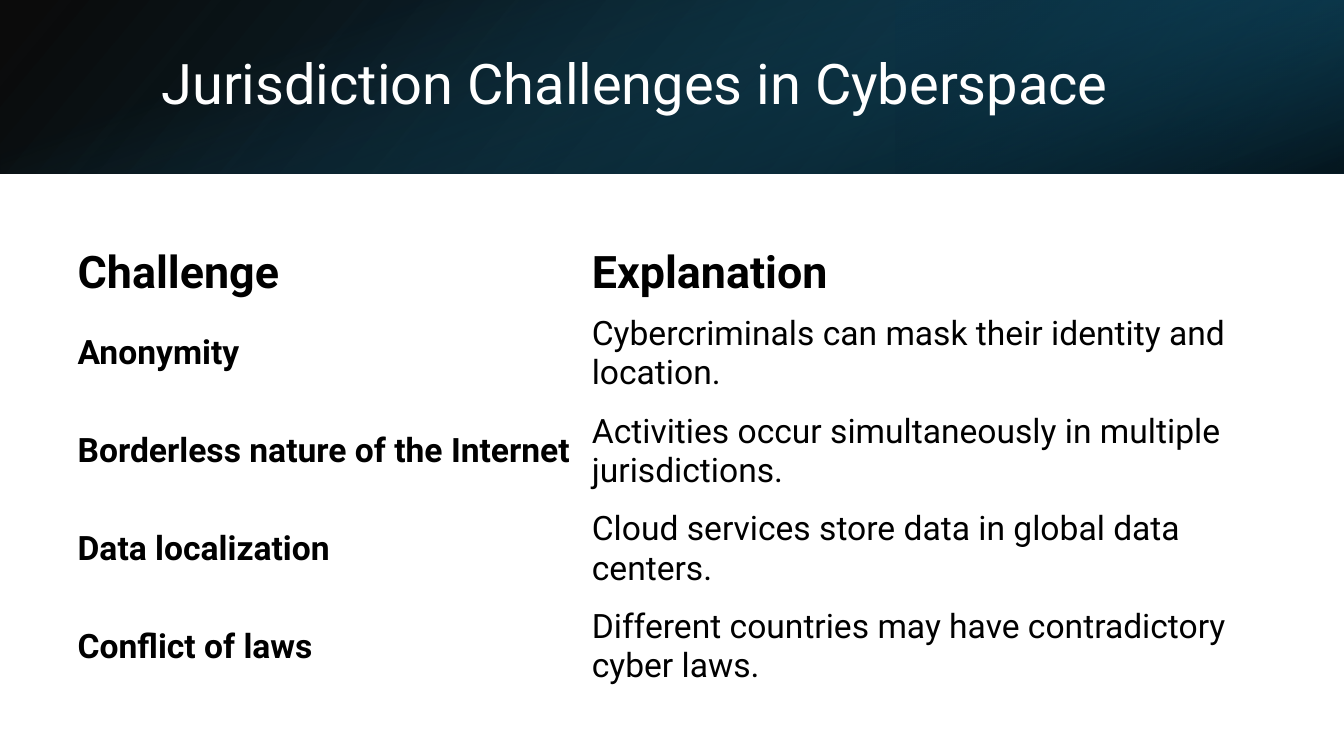
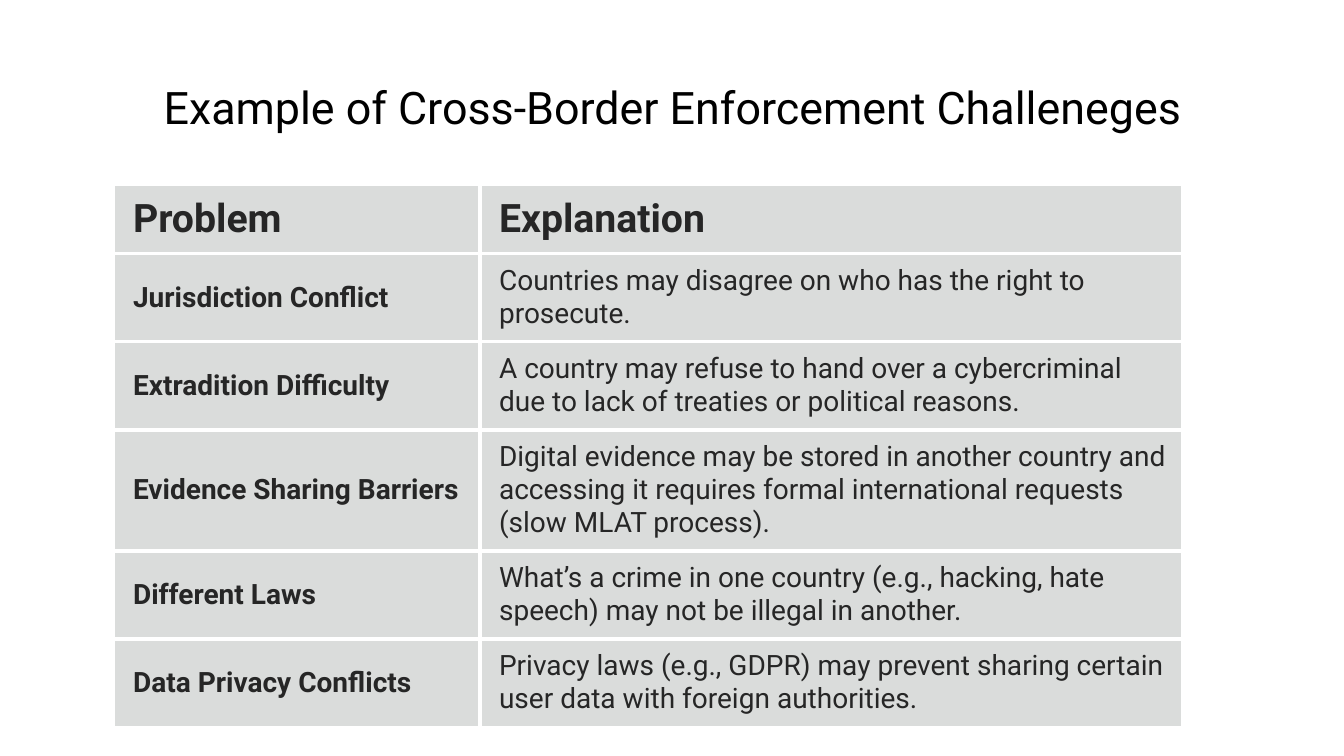
from lxml.etree import SubElement
from pptx import Presentation
from pptx.dml.color import RGBColor
from pptx.enum.shapes import MSO_SHAPE
from pptx.enum.text import MSO_ANCHOR, MSO_AUTO_SIZE, PP_ALIGN
from pptx.oxml.ns import qn
from pptx.util import Inches, Pt

FONT = "Roboto"
WHITE, BLACK, CHARCOAL, GREY = "FFFFFF", "000000", "262626", "878E8B"
NAVY, TEAL, DEEP = "104862", "156082", "0B3041"
SLIDE_W, SLIDE_H, BAND_H = 13.33, 7.5, 1.72
TITLE_ONLY = 5

CHALLENGES = [
    ("Challenge", "Explanation"),
    ("Anonymity", "Cybercriminals can mask their identity and location."),
    ("Borderless nature of the Internet",
     "Activities occur simultaneously in multiple jurisdictions."),
    ("Data localization", "Cloud services store data in global data centers."),
    ("Conflict of laws", "Different countries may have contradictory cyber laws."),
]
PROBLEMS = [
    ("Problem", "Explanation"),
    ("Jurisdiction Conflict",
     "Countries may disagree on who has the right to prosecute."),
    ("Extradition Difficulty",
     "A country may refuse to hand over a cybercriminal due to lack of "
     "treaties or political reasons."),
    ("Evidence Sharing Barriers",
     "Digital evidence may be stored in another country and accessing it "
     "requires formal international requests (slow MLAT process)."),
    ("Different Laws",
     "What’s a crime in one country (e.g., hacking, hate speech) may not be "
     "illegal in another."),
    ("Data Privacy Conflicts",
     "Privacy laws (e.g., GDPR) may prevent sharing certain user data with "
     "foreign authorities."),
]


def rgb(color):
    """Turn a hex string into a colour."""
    return RGBColor.from_string(color)


def style_run(r, size, color, bold=False):
    """Give a run the deck's font with a size, colour and weight."""
    r.font.name = FONT
    r.font.size = Pt(size)
    r.font.bold = bold
    r.font.color.rgb = rgb(color)


def set_alpha(color_el, percent):
    """Set the opacity of a colour element."""
    SubElement(color_el, qn("a:alpha")).set("val", str(percent * 1000))


def add_gradient(slide, box, stops, angle, rotation=0, flip=False):
    """Add a rectangle with a linear gradient of translucent stops."""
    sp = slide.shapes.add_shape(MSO_SHAPE.RECTANGLE, *map(Inches, box))
    sp.shadow.inherit = False
    sp.line.fill.background()
    sp.rotation = rotation
    if flip:
        sp.element.spPr.find(qn("a:xfrm")).set("flipH", "1")
    sp.fill.gradient()
    grad = sp.element.spPr.find(qn("a:gradFill"))
    for child in list(grad):
        grad.remove(child)
    gs_list = SubElement(grad, qn("a:gsLst"))
    for position, color, alpha in stops:
        gs = SubElement(gs_list, qn("a:gs"), pos=str(position * 1000))
        set_alpha(SubElement(gs, qn("a:srgbClr"), val=color), alpha)
    SubElement(grad, qn("a:lin"), ang=str(angle * 60000), scaled="0")


def add_band(slide, width, height):
    """Layer the gradients of the band across the top of the slide."""
    add_gradient(slide, (0, 0, width, height),
                 [(0, BLACK, 96), (100, NAVY, 100)], 140, flip=True)
    add_gradient(slide, (width * 2 / 3, 0, width / 3, height),
                 [(19, DEEP, 68), (100, TEAL, 79)], 320, 180, True)
    offset = (width - height) / 2
    add_gradient(slide, (offset, -offset, height, width),
                 [(23, TEAL, 0), (99, BLACK, 74)], 340, 90)


def set_title(slide, text, box, size, color, align, anchor):
    """Place and format the title placeholder."""
    sp = slide.shapes.title
    sp.left, sp.top, sp.width, sp.height = map(Inches, box)
    tf = sp.text_frame
    tf.text = text
    tf.word_wrap = True
    tf.auto_size = MSO_AUTO_SIZE.NONE
    tf.vertical_anchor = anchor
    p = tf.paragraphs[0]
    p.alignment = align
    p.line_spacing = 0.9
    style_run(p.runs[0], size, color)


def add_border(cell, side, color, width):
    """Draw one side of a cell as a solid line."""
    ln = SubElement(cell._tc.get_or_add_tcPr(), qn(f"a:ln{side}"), w=str(Pt(width)))
    SubElement(SubElement(ln, qn("a:solidFill")), qn("a:srgbClr"), val=color)


def fill_tile(cell, sides):
    """Make a cell a translucent grey tile with white lines on its inner sides."""
    cell.margin_left = Inches(0.19)
    cell.margin_right = cell.margin_top = cell.margin_bottom = Inches(0.11)
    for side in sides:
        add_border(cell, side, WHITE, 3)
    cell.fill.solid()
    cell.fill.fore_color.rgb = rgb(GREY)
    set_alpha(cell._tc.tcPr.find(qn("a:solidFill"))[0], 30)


def add_text_table(slide, rows, left, top, col_widths, row_heights, sizes, color, tiled):
    """Add a two-column table with a larger header row and a bold first column."""
    heights = [row_heights[0]] + [row_heights[1]] * (len(rows) - 1)
    box = (left, top, sum(col_widths), sum(heights))
    table = slide.shapes.add_table(len(rows), len(col_widths), *map(Inches, box)).table
    table.first_row = table.horz_banding = False
    for column, width in zip(table.columns, col_widths):
        column.width = Inches(width)
    last_row, last_col = len(rows) - 1, len(col_widths) - 1
    for i, texts in enumerate(rows):
        table.rows[i].height = Inches(heights[i])
        for j, text in enumerate(texts):
            cell = table.cell(i, j)
            cell.text = text
            cell.vertical_anchor = MSO_ANCHOR.MIDDLE
            style_run(cell.text_frame.paragraphs[0].runs[0],
                      sizes[min(i, 1)], color, i == 0 or j == 0)
            if tiled:
                inner = {"L": j > 0, "R": j < last_col, "T": i > 0, "B": i < last_row}
                fill_tile(cell, [side for side, shown in inner.items() if shown])
            else:
                cell.fill.background()


def build_challenges(prs):
    """Build the slide on jurisdiction challenges."""
    slide = prs.slides.add_slide(prs.slide_layouts[TITLE_ONLY])
    add_band(slide, SLIDE_W, BAND_H)
    title = slide.shapes.title.element
    slide.shapes._spTree.append(title)
    set_title(slide, "Jurisdiction Challenges in Cyberspace", (1.5, 0.38, 10.98, 0.96),
              40, WHITE, PP_ALIGN.LEFT, MSO_ANCHOR.MIDDLE)
    add_text_table(slide, CHALLENGES, 0.67, 2.4, (5.1, 6.88), (0.58, 0.97),
                   (32, 24), BLACK, False)


def build_enforcement(prs):
    """Build the slide on cross-border enforcement."""
    slide = prs.slides.add_slide(prs.slide_layouts[TITLE_ONLY])
    set_title(slide, "Example of Cross-Border Enforcement Challeneges",
              (1.51, 0.8, 10.33, 1.04), 32, BLACK, PP_ALIGN.CENTER, MSO_ANCHOR.TOP)
    add_text_table(slide, PROBLEMS, 1.13, 1.84, (3.63, 6.96), (0.62, 0.81),
                   (28, 20), CHARCOAL, True)


def main():
    """Build and save the deck."""
    prs = Presentation()
    prs.slide_width, prs.slide_height = Inches(SLIDE_W), Inches(SLIDE_H)
    build_challenges(prs)
    build_enforcement(prs)
    prs.save("out.pptx")


if __name__ == "__main__":
    main()
